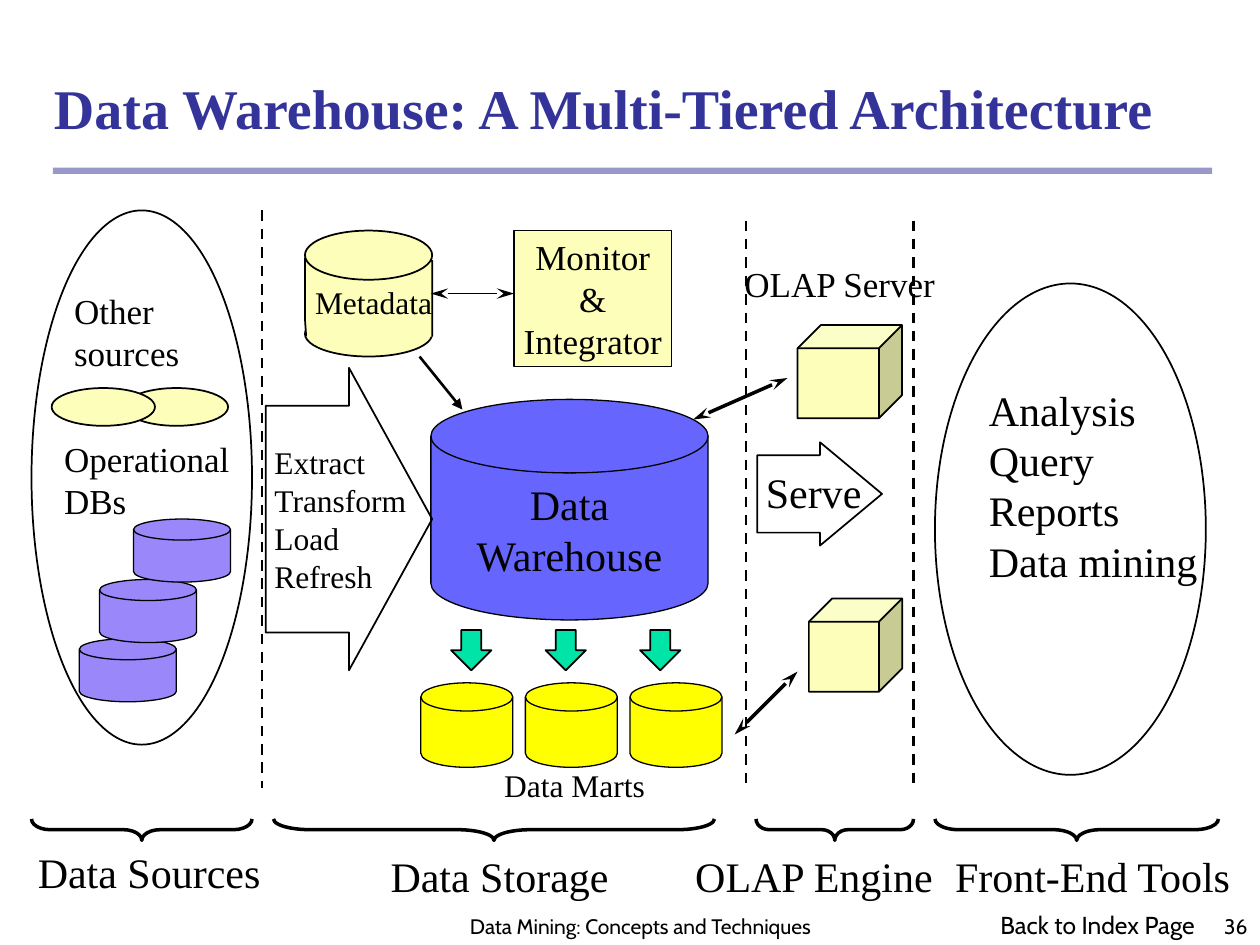
from lxml import etree
from pptx import Presentation
from pptx.dml.color import RGBColor
from pptx.enum.dml import MSO_LINE as Dash
from pptx.enum.shapes import MSO_CONNECTOR as Conn, MSO_SHAPE as Kind
from pptx.enum.text import MSO_ANCHOR as Anchor, PP_ALIGN as Align
from pptx.oxml.ns import qn
from pptx.util import Inches, Pt

HUES = {
    "ink": "000000", "paper": "FFFFFF", "navy": "333399", "cream": "FCFEB9",
    "blue": "6666FF", "lilac": "9A87F9", "lemon": "FFFF00", "mint": "00E4A8",
}
SERIF, SANS = "Times New Roman", "Cabin"


def hue(name):
    """Return the named colour."""
    return RGBColor.from_string(HUES[name])


def paint(shape, fill, width):
    """Set the fill and outline of a shape."""
    shape.shadow.inherit = False
    if fill:
        shape.fill.solid()
        shape.fill.fore_color.rgb = hue(fill)
    else:
        shape.fill.background()
    if width:
        shape.line.color.rgb = hue("ink")
        shape.line.width = Pt(width)
    else:
        shape.line.fill.background()


def draw(slide, kind, x, y, w, h, fill=None, width=1, adj=()):
    """Add a preset shape."""
    shape = slide.shapes.add_shape(kind, Inches(x), Inches(y), Inches(w), Inches(h))
    for i, val in enumerate(adj):
        shape.adjustments[i] = val
    paint(shape, fill, width)
    return shape


def write(shape, text, size=24, font=SERIF, color="ink", bold=False,
          align=Align.LEFT, anchor=Anchor.TOP, pad=True):
    """Put formatted lines of text in a shape."""
    frame = shape.text_frame
    frame.word_wrap = False
    frame.vertical_anchor = anchor
    frame.margin_left = frame.margin_right = Inches(0.1 if pad else 0)
    frame.margin_top = frame.margin_bottom = Inches(0.05 if pad else 0)
    for i, line in enumerate(text.split("\n")):
        para = frame.add_paragraph() if i else frame.paragraphs[0]
        para.alignment = align
        run = para.add_run()
        run.text = line
        run.font.size, run.font.name, run.font.bold = Pt(size), font, bold
        run.font.color.rgb = hue(color)


def label(slide, text, x, y, w, h, **style):
    """Add a text box."""
    box = slide.shapes.add_textbox(Inches(x), Inches(y), Inches(w), Inches(h))
    write(box, text, **style)


def link(slide, x1, y1, x2, y2, width=1, head=None, tail=None, dash=False):
    """Add a straight line with optional arrowheads."""
    wire = slide.shapes.add_connector(
        Conn.STRAIGHT, Inches(x1), Inches(y1), Inches(x2), Inches(y2))
    wire.line.color.rgb = hue("ink")
    wire.line.width = Pt(width)
    if dash:
        wire.line.dash_style = Dash.DASH
    props = wire.line._get_or_add_ln()
    for tag, end in (("a:headEnd", head), ("a:tailEnd", tail)):
        if end:
            size = "lg" if end == "stealth" else "med"
            etree.SubElement(props, qn(tag), type=end, len=size)
    etree.SubElement(wire._element.spPr, qn("a:effectLst"))


def brace(slide, box):
    """Add a brace along the bottom of a box."""
    x, y, w, h = box
    deep = 0.17
    shape = draw(slide, Kind.RIGHT_BRACE, x + (w - deep) / 2, y + h - (w + deep) / 2,
                 deep, w, width=2, adj=(w / 12 / deep, 0.5))
    shape.rotation = 90


def heading(slide, box):
    """Place the title and the bar below it."""
    x, y, w, h = box
    bar = draw(slide, Kind.RECTANGLE, x + 0.09, y + 0.83, 9.2, 0.05, "navy", 0)
    tint = bar._element.spPr.find(".//" + qn("a:srgbClr"))
    etree.SubElement(tint, qn("a:alpha"), val="50000")
    title = draw(slide, Kind.RECTANGLE, x, y, w, h, "paper", 0)
    write(title, "Data Warehouse: A Multi-Tiered Architecture", size=32,
          color="navy", bold=True, anchor=Anchor.BOTTOM)


def sources(slide, box):
    """Place the data sources tier."""
    x, y, w, h = box
    draw(slide, Kind.OVAL, x + 0.74, y + 1.41, 0.82, 0.3, "cream")
    draw(slide, Kind.OVAL, x, y, w, 4.24)
    draw(slide, Kind.OVAL, x + 0.16, y + 1.41, 0.82, 0.3, "cream")
    label(slide, "Other\nsources", x + 0.24, y + 0.58, 1.2, 0.77, size=20)
    label(slide, "Operational\nDBs", x + 0.16, y + 1.75, 1.59, 0.77, size=20)
    for dx, dy in ((0.38, 3.4), (0.54, 2.93), (0.81, 2.45)):
        draw(slide, Kind.FLOWCHART_MAGNETIC_DISK, x + dx, y + dy, 0.77, 0.5, "lilac", 0.75)
    label(slide, "Data Sources", x + 0.05, y + 5.05, 1.85, 0.4, pad=False)
    brace(slide, box)


def metadata(slide, box):
    """Place the metadata drum."""
    x, y, w, h = box
    draw(slide, Kind.OVAL, x, y + h - 0.36, w, 0.36, "cream")
    left, right = Inches(x), Inches(x + w)
    pen = slide.shapes.build_freeform(Inches(x + 0.01), Inches(y + 0.84))
    pen.add_line_segments(
        [(left, Inches(y + 0.7)), (left, Inches(y + 0.22)),
         (right, Inches(y + 0.24)), (right, Inches(y + 0.84))], close=False)
    paint(pen.convert_to_shape(), "cream", 1)
    draw(slide, Kind.OVAL, x, y, w, 0.39, "cream")
    label(slide, "Metadata", x + 0.08, y + 0.42, 0.93, 0.3, size=18, pad=False)


def storage(slide, box):
    """Place the data storage tier."""
    x, y, w, h = box
    disk = Kind.FLOWCHART_MAGNETIC_DISK
    draw(slide, disk, x + 1.25, y + 1.5, 2.2, 1.75, "blue", 0.75)
    label(slide, "Data\nWarehouse", x + 1.5, y + 2.08, 1.7, 0.9, align=Align.CENTER)
    draw(slide, Kind.RIGHT_ARROW, x - 0.06, y + 1.25, 1.32, 2.4, adj=(0.75, 0.5))
    label(slide, "Extract\nTransform\nLoad\nRefresh", x - 0.09, y + 1.8, 1.26, 1.3, size=18)
    watch = draw(slide, Kind.RECTANGLE, x + 1.91, y + 0.16, 1.25, 1.08, "cream")
    write(watch, "Monitor\n&\nIntegrator", size=20, align=Align.CENTER, anchor=Anchor.MIDDLE)
    metadata(slide, (x + 0.25, y + 0.16, 1.01, 1))
    link(slide, x + 1.25, y + 0.66, x + 1.91, y + 0.66, head="stealth", tail="stealth")
    link(slide, x + 1.16, y + 1.16, x + 1.5, y + 1.58, width=1.5, tail="triangle")
    for i in range(3):
        draw(slide, Kind.DOWN_ARROW, x + 1.41 + 0.75 * i, y + 3.33, 0.32, 0.32, "mint")
        draw(slide, disk, x + 1.17 + 0.83 * i, y + 3.75, 0.73, 0.67, "lemon", 0.75)
    label(slide, "Data Marts", x + 1.78, y + 4.41, 1.22, 0.3, size=18,
          align=Align.CENTER, pad=False)
    label(slide, "Data Storage", x + 0.93, y + 5.08, 1.9, 0.4, pad=False)
    brace(slide, box)


def engine(slide, box):
    """Place the OLAP engine tier."""
    x, y, w, h = box
    draw(slide, Kind.RIGHT_ARROW, x + 0.01, y + 1.84, 0.99, 0.82, adj=(0.75, 0.6))
    label(slide, "Serve", x - 0.02, y + 1.98, 0.96, 0.5)
    draw(slide, Kind.CUBE, x + 0.33, y + 0.91, 0.83, 0.74, "cream")
    draw(slide, Kind.CUBE, x + 0.42, y + 3.08, 0.74, 0.74, "cream")
    for x1, y1, x2, y2 in ((-0.5, 1.66, 0.25, 1.33), (-0.17, 4.16, 0.33, 3.66)):
        link(slide, x + x1, y + y1, x + x2, y + y2, width=2, head="stealth", tail="stealth")
    label(slide, "OLAP Server", x - 0.17, y + 0.41, 1.67, 0.33, size=20,
          align=Align.CENTER, pad=False)
    label(slide, "OLAP Engine", x - 0.58, y + 5.08, 2.08, 0.4, align=Align.CENTER, pad=False)
    brace(slide, box)


def tools(slide, box):
    """Place the front-end tools tier."""
    x, y, w, h = box
    draw(slide, Kind.OVAL, x, y + 0.58, 2.15, 3.9)
    label(slide, "Analysis\nQuery\nReports\nData mining", x + 0.33, y + 1.33, 1.86, 1.7)
    label(slide, "Front-End Tools", x + 0.16, y + 5.08, 2.3, 0.4, pad=False)
    brace(slide, box)


def footer(slide, box):
    """Place the footer texts."""
    x, y, w, h = box
    label(slide, "Data Mining: Concepts and Techniques", x + 3.5, y, 3.17, h,
          size=12, font=SANS, align=Align.CENTER, anchor=Anchor.BOTTOM)
    label(slide, "36", x + 7.92, y + 0.08, w - 7.92, h - 0.08,
          size=12, font=SANS, align=Align.RIGHT, anchor=Anchor.BOTTOM)
    label(slide, "Back to Index Page", x + 7.84, y + 0.25, 1.95, 0.33, size=14, font=SANS)


def main():
    """Build and save the slide."""
    deck = Presentation()
    deck.slide_width, deck.slide_height = Inches(10), Inches(7.5)
    slide = deck.slides.add_slide(deck.slide_layouts[6])
    heading(slide, (0.33, 0.5, 9.33, 0.67))
    for x, top in ((2.08, 1.67), (5.92, 1.75), (7.25, 1.75)):
        link(slide, x, top, x, 6.25, width=1.5, dash=True)
    tiers = ((sources, 0.25, 1.75), (storage, 2.17, 3.5),
             (engine, 6, 1.25), (tools, 7.42, 2.25))
    for tier, x, w in tiers:
        tier(slide, (x, 1.67, w, 5))
    footer(slide, (0, 6.92, 10, 0.58))
    deck.save("out.pptx")


if __name__ == "__main__":
    main()
